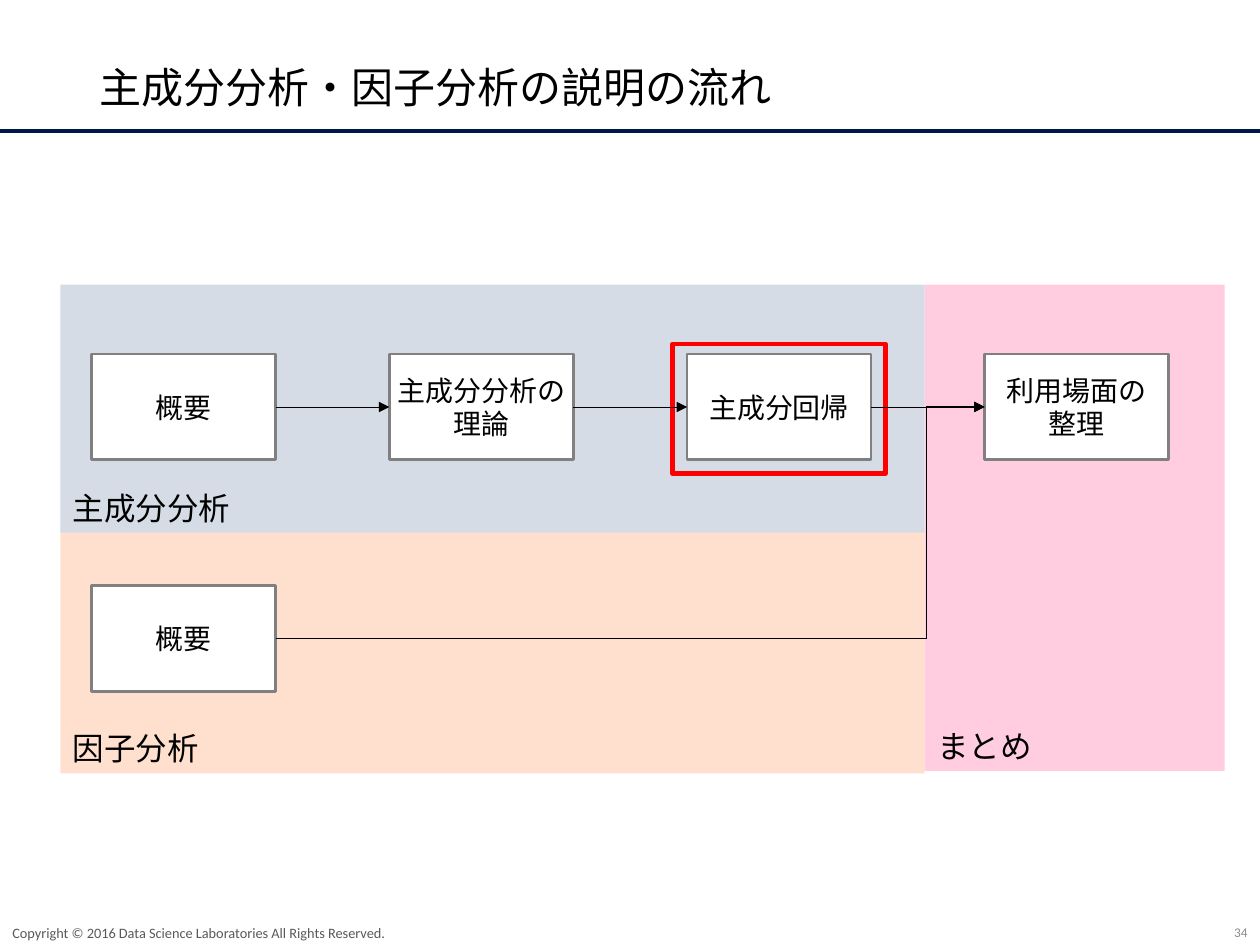
from dataclasses import dataclass
from typing import Optional

from lxml import etree
from pptx import Presentation
from pptx.dml.color import RGBColor
from pptx.enum.shapes import MSO_CONNECTOR, MSO_SHAPE
from pptx.enum.text import MSO_ANCHOR, PP_ALIGN
from pptx.oxml.ns import qn
from pptx.util import Cm, Pt

RECT = MSO_SHAPE.RECTANGLE
LINE, ELBOW = MSO_CONNECTOR.STRAIGHT, MSO_CONNECTOR.ELBOW
MIDDLE, BOTTOM = MSO_ANCHOR.MIDDLE, MSO_ANCHOR.BOTTOM
LEFT, CENTER, RIGHT = PP_ALIGN.LEFT, PP_ALIGN.CENTER, PP_ALIGN.RIGHT
LEFT_SITE, RIGHT_SITE = 1, 3


@dataclass(frozen=True)
class Theme:
    latin: str = "Calibri"
    asian: str = "Noto Sans CJK JP"
    ink: str = "000000"
    paper: str = "FFFFFF"
    edge: str = "808080"
    alert: str = "FF0000"
    rule: str = "44546A"
    navy: str = "001847"
    blue: str = "D6DCE5"
    peach: str = "FFDFCE"
    pink: str = "FFCCE0"
    note: str = "595959"
    page: str = "8C8C8C"
    title_size: float = 24
    zone_size: float = 18
    step_size: float = 16
    note_size: float = 8.2
    page_size: float = 7.6


THEME = Theme()


@dataclass(frozen=True)
class Area:
    left: float
    top: float
    width: float
    height: float

    def sides(self) -> tuple:
        return Cm(self.left), Cm(self.top), Cm(self.width), Cm(self.height)


@dataclass(frozen=True)
class Style:
    size: float
    color: str = THEME.ink
    latin: str = THEME.latin
    align: PP_ALIGN = LEFT
    anchor: MSO_ANCHOR = MIDDLE


@dataclass(frozen=True)
class Zone:
    label: str
    area: Area
    fill: str


@dataclass(frozen=True)
class Step:
    label: str
    column: int
    top: float


STEP_LEFT, STEP_PITCH = 1.85, 6.0
STEP_WIDTH, STEP_HEIGHT = 3.71, 2.13
UPPER, LOWER = 7.14, 11.81

TITLE = Style(THEME.title_size, latin=THEME.asian)
ZONE = Style(THEME.zone_size, anchor=BOTTOM)
STEP = Style(THEME.step_size, align=CENTER)
NOTE = Style(THEME.note_size, THEME.note)
PAGE = Style(THEME.page_size, THEME.page, align=RIGHT)

ZONES = (
    Zone("因子分析", Area(1.22, 10.69, 17.42, 4.9), THEME.peach),
    Zone("まとめ", Area(18.64, 5.74, 6.05, 9.8), THEME.pink),
    Zone("主成分分析", Area(1.22, 5.74, 17.42, 5.0), THEME.blue),
)
STEPS = (
    Step("概要", 0, UPPER),
    Step("主成分分析の\n理論", 1, UPPER),
    Step("主成分回帰", 2, UPPER),
    Step("利用場面の\v整理", 3, UPPER),
    Step("概要", 0, LOWER),
)


def write(frame, text: str, style: Style, wrap: bool = False) -> None:
    frame.word_wrap = wrap
    frame.vertical_anchor = style.anchor
    for index, block in enumerate(text.split("\n")):
        para = frame.add_paragraph() if index else frame.paragraphs[0]
        para.alignment = style.align
        for row, words in enumerate(block.split("\v")):
            if row:
                para.add_line_break()
            run = para.add_run()
            run.text = words
            run.font.size = Pt(style.size)
            run.font.name = style.latin
            run.font.color.rgb = RGBColor.from_string(style.color)
            east = etree.SubElement(run.font._element, qn("a:ea"))
            east.set("typeface", THEME.asian)


def draw_box(slide, area: Area, fill: Optional[str] = None,
             edge: Optional[str] = None, weight: float = 1):
    box = slide.shapes.add_shape(RECT, *area.sides())
    box.shadow.inherit = False
    if fill:
        box.fill.solid()
        box.fill.fore_color.rgb = RGBColor.from_string(fill)
    else:
        box.fill.background()
    if edge:
        box.line.color.rgb = RGBColor.from_string(edge)
        box.line.width = Pt(weight)
    else:
        box.line.fill.background()
    return box


def draw_zone(slide, zone: Zone) -> None:
    box = draw_box(slide, zone.area, zone.fill)
    write(box.text_frame, zone.label, ZONE)


def draw_step(slide, step: Step):
    left = STEP_LEFT + step.column * STEP_PITCH
    area = Area(left, step.top, STEP_WIDTH, STEP_HEIGHT)
    box = draw_box(slide, area, THEME.paper, THEME.edge, 1.5)
    write(box.text_frame, step.label, STEP)
    return box


def draw_arrow(slide, start, end, kind: MSO_CONNECTOR = LINE,
               bend: Optional[float] = None) -> None:
    arrow = slide.shapes.add_connector(kind, 0, 0, 0, 0)
    arrow.begin_connect(start, RIGHT_SITE)
    arrow.end_connect(end, LEFT_SITE)
    arrow.line.color.rgb = RGBColor.from_string(THEME.ink)
    arrow.line.width = Pt(0.5)
    props = arrow._element.spPr
    tail = etree.SubElement(props.find(qn("a:ln")), qn("a:tailEnd"))
    tail.set("type", "triangle")
    etree.SubElement(props, qn("a:effectLst"))
    if bend is not None:
        guides = props.find(qn("a:prstGeom")).find(qn("a:avLst"))
        guide = etree.SubElement(guides, qn("a:gd"))
        guide.set("name", "adj1")
        guide.set("fmla", f"val {round(bend * 100000)}")


def add_note(slide, text: str, area: Area, style: Style) -> None:
    note = slide.shapes.add_textbox(*area.sides())
    write(note.text_frame, text, style, wrap=True)


def main() -> None:
    deck = Presentation()
    deck.slide_width, deck.slide_height = Cm(25.4), Cm(19.05)
    slide = deck.slides.add_slide(deck.slide_layouts[5])

    draw_box(slide, Area(0, 2.62, 25.4, 0.05), THEME.rule, THEME.navy)
    title = slide.shapes.title
    place = Area(1.75, 1.02, 21.9, 1.6)
    title.left, title.top, title.width, title.height = place.sides()
    write(title.text_frame, "主成分分析・因子分析の説明の流れ", TITLE, wrap=True)
    title.text_frame.paragraphs[0].line_spacing = 0.9

    add_note(slide, "34", Area(19.69, 18.52, 5.71, 0.53), PAGE)
    add_note(slide, "Copyright © 2016 Data Science Laboratories All Rights Reserved.",
             Area(0, 18.54, 15.85, 0.51), NOTE)

    for zone in ZONES:
        draw_zone(slide, zone)
    *chain, factor = [draw_step(slide, step) for step in STEPS]
    draw_box(slide, Area(13.56, 6.93, 4.29, 2.62), edge=THEME.alert, weight=2.5)
    for start, end in zip(chain, chain[1:]):
        draw_arrow(slide, start, end)
    draw_arrow(slide, factor, chain[-1], ELBOW, 0.918)

    deck.save("out.pptx")


if __name__ == "__main__":
    main()
